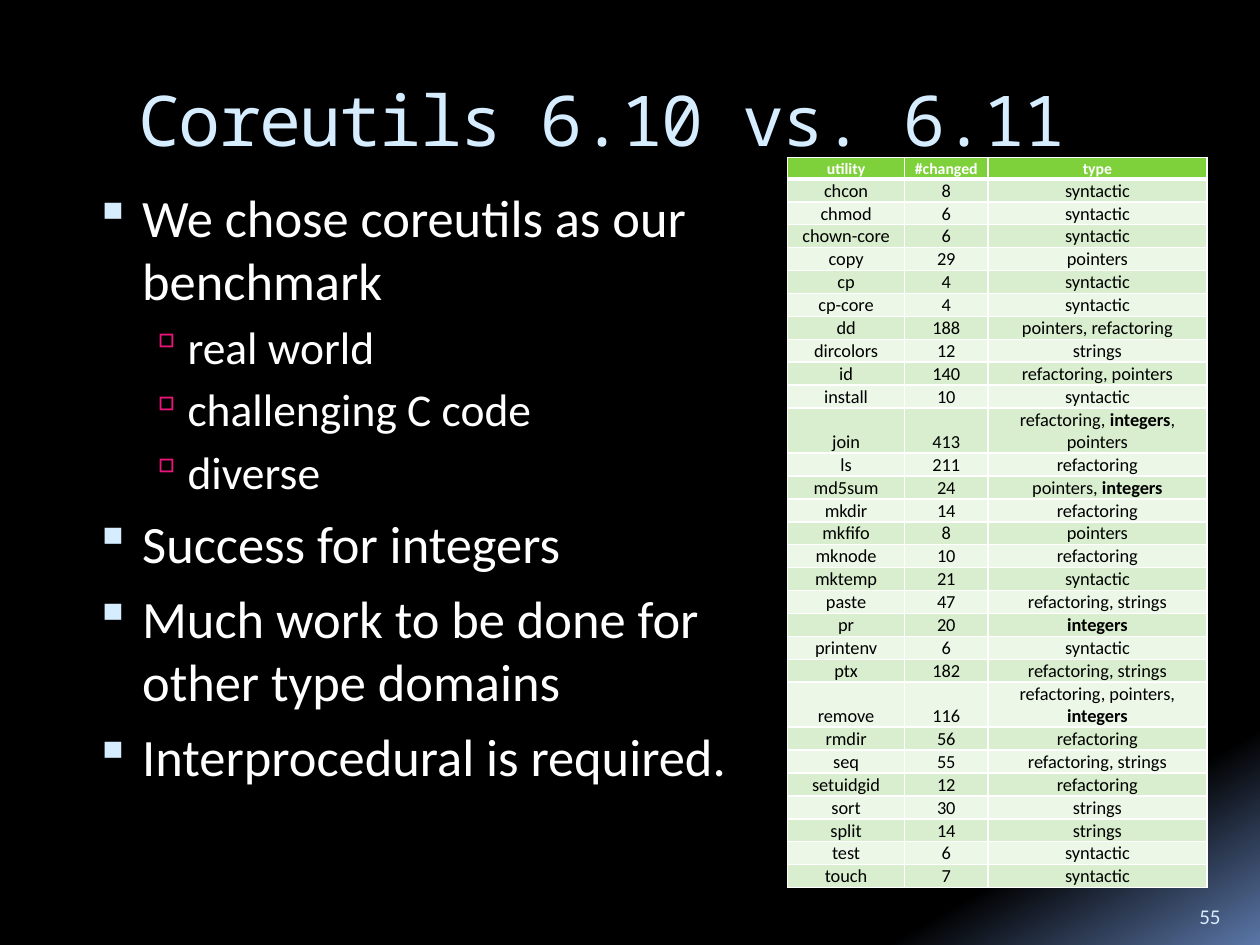
from lxml import etree
from pptx import Presentation
from pptx.dml.color import RGBColor
from pptx.enum.text import MSO_ANCHOR, PP_ALIGN
from pptx.oxml.ns import qn
from pptx.util import Inches, Pt

TOP, BOTTOM = MSO_ANCHOR.TOP, MSO_ANCHOR.BOTTOM
CENTER, LEFT = PP_ALIGN.CENTER, PP_ALIGN.LEFT
WHITE, BLACK, PALE_BLUE, PINK = "FFFFFF", "000000", "D6ECFF", "EA157A"
GREEN, BANDS = "7FD13B", ("D8EECE", "ECF7E8")

CHANGES = [
    ("utility", "#changed", "type"),
    ("chcon", "8", "syntactic"),
    ("chmod", "6", "syntactic"),
    ("chown-core", "6", "syntactic"),
    ("copy", "29", "pointers"),
    ("cp", "4", "syntactic"),
    ("cp-core", "4", "syntactic"),
    ("dd", "188", "pointers, refactoring"),
    ("dircolors", "12", "strings"),
    ("id", "140", "refactoring, pointers"),
    ("install", "10", "syntactic"),
    ("join", "413", "refactoring, integers, pointers"),
    ("ls", "211", "refactoring"),
    ("md5sum", "24", "pointers, integers"),
    ("mkdir", "14", "refactoring"),
    ("mkfifo", "8", "pointers"),
    ("mknode", "10", "refactoring"),
    ("mktemp", "21", "syntactic"),
    ("paste", "47", "refactoring, strings"),
    ("pr", "20", "integers"),
    ("printenv", "6", "syntactic"),
    ("ptx", "182", "refactoring, strings"),
    ("remove", "116", "refactoring, pointers, integers"),
    ("rmdir", "56", "refactoring"),
    ("seq", "55", "refactoring, strings"),
    ("setuidgid", "12", "refactoring"),
    ("sort", "30", "strings"),
    ("split", "14", "strings"),
    ("test", "6", "syntactic"),
    ("touch", "7", "syntactic"),
]
POINTS = [
    (0, "We chose coreutils as our benchmark"),
    (1, "real world"),
    (1, "challenging C code"),
    (1, "diverse"),
    (0, "Success for integers"),
    (0, "Much work to be done for other type domains"),
    (0, "Interprocedural is required."),
]
# size, space before, text indent, hanging indent, bullet, its colour, its size in percent
LEVELS = [
    (30, 7, 0.45, -0.38, "▪", PALE_BLUE, 95),
    (26, 4.5, 0.81, -0.31, "▫", PINK, 90),
]


def rgb(value):
    return RGBColor.from_string(value)


def add_run(paragraph, text, size, color, bold=False, font="Calibri"):
    run = paragraph.add_run()
    run.text = text
    run.font.name = font
    run.font.size = Pt(size)
    run.font.bold = bold
    run.font.color.rgb = rgb(color)
    return run


prs = Presentation()
prs.slide_width, prs.slide_height = Inches(10), Inches(7.5)
slide = prs.slides.add_slide(prs.slide_layouts[5])

background = slide.background.fill
background.gradient()
background.gradient_angle = 300
for stop, (position, color) in zip(background.gradient_stops, [(0.87, BLACK), (1, "5B77A8")]):
    stop.position = position
    stop.color.rgb = rgb(color)

# Title
title = slide.shapes.title
title.left, title.top, title.width, title.height = map(Inches, (1, 0.56, 8.5, 1))
title.text_frame.vertical_anchor = TOP
heading = title.text_frame.paragraphs[0]
heading.alignment = LEFT
heading_run = add_run(heading, "Coreutils 6.10 vs. 6.11", 40, PALE_BLUE, font="Noto Sans Mono")
heading_run.font._element.set("spc", "-100")

# Slide number
number = slide.shapes.add_textbox(Inches(9.42), Inches(7.02), Inches(0.5), Inches(0.4))
number.text_frame.word_wrap = True
number.text_frame.vertical_anchor = BOTTOM
add_run(number.text_frame.paragraphs[0], "55", 12, PALE_BLUE)

# Table of changed functions per utility
table = slide.shapes.add_table(
    len(CHANGES), 3, Inches(6.25), Inches(1.25), Inches(3.33), Inches(0.17 * len(CHANGES))
).table
for column, width in zip(table.columns, (0.93, 0.66, 1.74)):
    column.width = Inches(width)
for r, record in enumerate(CHANGES):
    header = r == 0
    table.rows[r].height = Inches(0.17)
    for c, text in enumerate(record):
        cell = table.cell(r, c)
        cell.margin_left = cell.margin_right = Inches(0.01)
        cell.margin_top, cell.margin_bottom = Pt(0.5), 0
        cell.vertical_anchor = BOTTOM
        cell.fill.solid()
        cell.fill.fore_color.rgb = rgb(GREEN if header else BANDS[(r - 1) % 2])

        paragraph = cell.text_frame.paragraphs[0]
        paragraph.alignment = CENTER
        for part in filter(None, text.partition("integers")):
            add_run(paragraph, part, 9 if header else 10.5, WHITE if header else BLACK,
                    bold=header or part == "integers")

        # Borders come before the fill in the cell properties
        properties = cell._tc.get_or_add_tcPr()
        for i, side in enumerate(("lnL", "lnR", "lnT", "lnB")):
            thick = (header and side == "lnB") or (r == 1 and side == "lnT")
            line = etree.Element(qn(f"a:{side}"), w=str(Pt(3 if thick else 1)))
            solid = etree.SubElement(line, qn("a:solidFill"))
            etree.SubElement(solid, qn("a:srgbClr"), val=WHITE)
            properties.insert(i, line)

# Bulleted points
points = slide.shapes.add_textbox(Inches(0.58), Inches(1.42), Inches(5.42), Inches(5)).text_frame
points.word_wrap = True
for i, (level, text) in enumerate(POINTS):
    size, before, indent, hanging, bullet, bullet_color, bullet_size = LEVELS[level]
    paragraph = points.add_paragraph() if i else points.paragraphs[0]
    paragraph.level = level
    paragraph.space_before = Pt(before)
    properties = paragraph._p.get_or_add_pPr()
    properties.set("marL", str(Inches(indent)))
    properties.set("indent", str(Inches(hanging)))
    color_holder = etree.SubElement(properties, qn("a:buClr"))
    etree.SubElement(color_holder, qn("a:srgbClr"), val=bullet_color)
    etree.SubElement(properties, qn("a:buSzPct"), val=str(bullet_size * 1000))
    etree.SubElement(properties, qn("a:buChar"), char=bullet)
    add_run(paragraph, text, size, WHITE)

prs.save("out.pptx")
